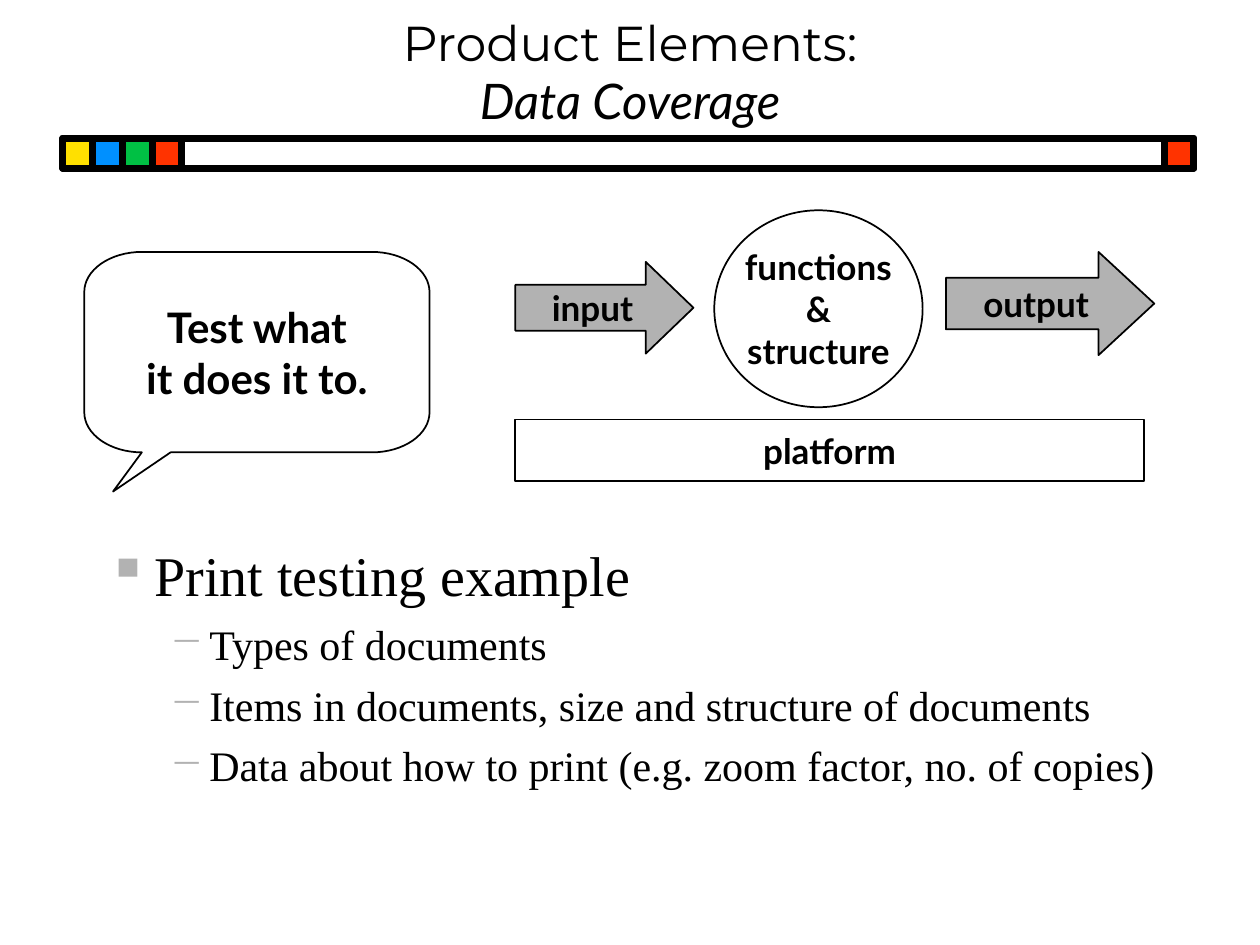
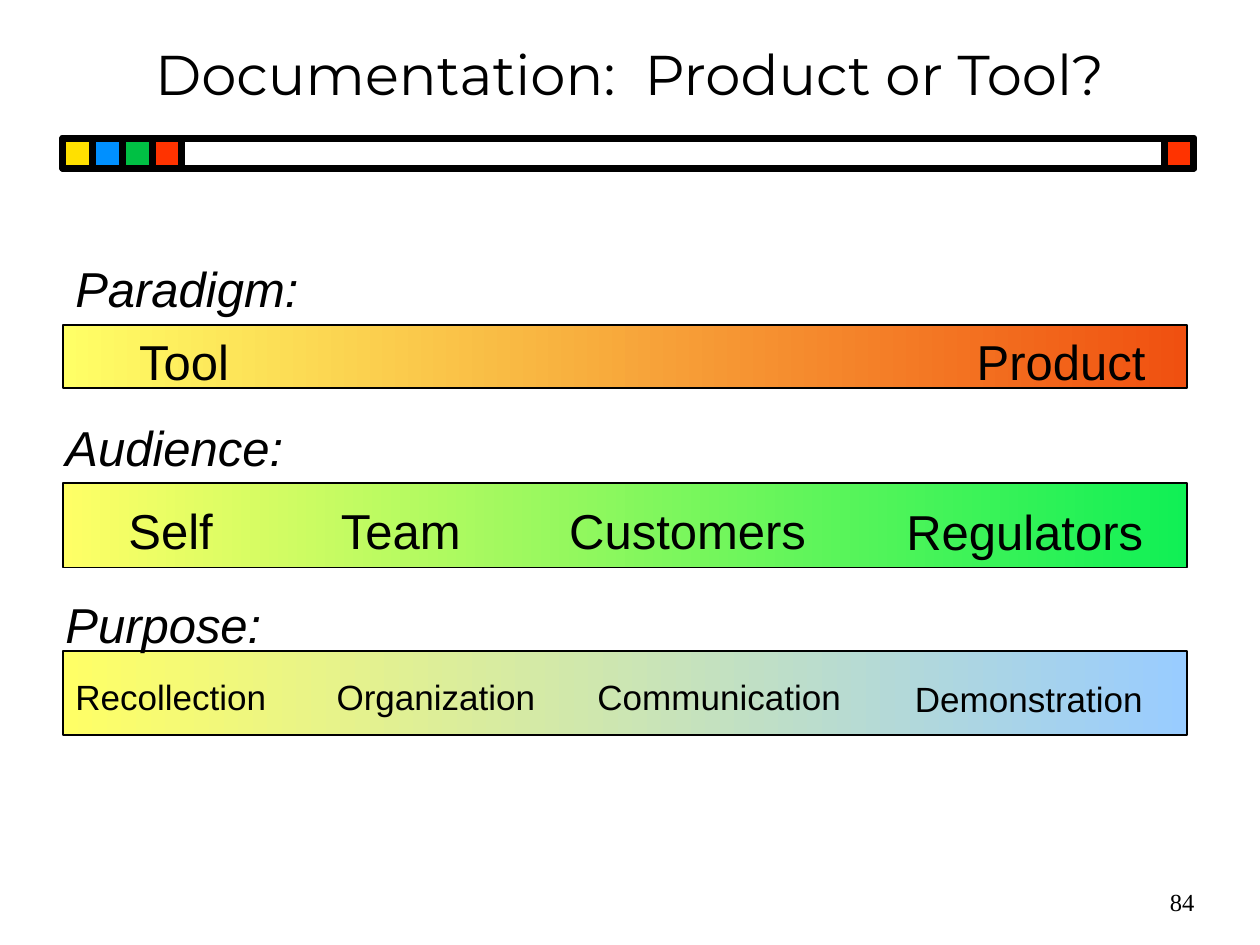
from math import cos, pi, sin

from lxml import etree
from pptx import Presentation
from pptx import util as u
from pptx.dml.color import RGBColor
from pptx.enum import shapes, text
from pptx.oxml.ns import qn

COLOURS = {
    "black": "000000", "white": "FFFFFF", "grey": "B2B2B2",
    "yellow": "FFE000", "blue": "0090FF", "green": "00C044", "red": "FF3300",
    "pale yellow": "FFFF66", "orange": "F05010", "lime": "10F055", "sky": "99CCFF",
}
KINDS = shapes.MSO_SHAPE
LEFT, CENTRE, RIGHT = text.PP_ALIGN.LEFT, text.PP_ALIGN.CENTER, text.PP_ALIGN.RIGHT
TOP, MIDDLE, BOTTOM = text.MSO_ANCHOR.TOP, text.MSO_ANCHOR.MIDDLE, text.MSO_ANCHOR.BOTTOM
TITLE_FONT, DIAGRAM_FONT, SCALE_FONT, BODY_FONT = "Montserrat", "Lato", "Arial", "Times New Roman"
MARGIN = 1.27
SCALE_WIDTH = 22.66


def colour(name):
    return RGBColor.from_string(COLOURS[name])


class Deck:
    """Holds the style and the slide being drawn; all lengths are in cm."""

    def __init__(self):
        self.prs = Presentation()
        self.prs.slide_width, self.prs.slide_height = u.Cm(25.4), u.Cm(19.05)
        self.slide = None

    def new_slide(self):
        self.slide = self.prs.slides.add_slide(self.prs.slide_layouts[6])
        self.title_band()

    def title_band(self):
        top, width, side = 2.79, 22.8, 0.6
        self.shape(KINDS.RECTANGLE, MARGIN, top, width, side, None, 4)
        for i, name in enumerate(("yellow", "blue", "green", "red")):
            self.shape(KINDS.RECTANGLE, MARGIN + i * side, top, side, side, name, 4)
        self.shape(KINDS.RECTANGLE, MARGIN + width - side, top, side, side, "red", 4)

    def finish(self, shape, fill, line=1):
        shape.shadow.inherit = False
        if fill:
            shape.fill.solid()
            shape.fill.fore_color.rgb = colour(fill)
        else:
            shape.fill.background()
        shape.line.color.rgb = colour("black")
        shape.line.width = u.Pt(line)
        return shape

    def shape(self, kind, left, top, width, height, fill, line=1):
        box = map(u.Cm, (left, top, width, height))
        return self.finish(self.slide.shapes.add_shape(kind, *box), fill, line)

    def run(self, paragraph, words, size, font, bold=False, italic=False):
        run = paragraph.add_run()
        run.text = words
        run.font.size, run.font.name = u.Pt(size), font
        run.font.bold, run.font.italic = bold, italic
        run.font.color.rgb = colour("black")

    def caption(self, shape, lines, size=20):
        """Bold centred lines inside a diagram shape."""
        frame = shape.text_frame
        frame.word_wrap, frame.vertical_anchor = False, MIDDLE
        for i, line in enumerate(lines):
            paragraph = frame.add_paragraph() if i else frame.paragraphs[0]
            paragraph.alignment = CENTRE
            self.run(paragraph, line, size, DIAGRAM_FONT, bold=True)

    def text_box(self, left, top, width, height, align=LEFT, anchor=TOP):
        box = self.slide.shapes.add_textbox(*map(u.Cm, (left, top, width, height)))
        frame = box.text_frame
        frame.word_wrap, frame.vertical_anchor = True, anchor
        frame.paragraphs[0].alignment = align
        return frame

    def label(self, words, left, top, width, height, size, font=SCALE_FONT,
              align=LEFT, anchor=TOP, italic=False):
        frame = self.text_box(left, top, width, height, align, anchor)
        self.run(frame.paragraphs[0], words, size, font, italic=italic)

    def title(self, words, size, subtitle=None):
        frame = self.text_box(0, 0.2, 25.4, 2.54, CENTRE, BOTTOM if subtitle else MIDDLE)
        paragraph = frame.paragraphs[0]
        self.run(paragraph, words, size, TITLE_FONT)
        if subtitle:
            paragraph.add_line_break()
            self.run(paragraph, subtitle, size, DIAGRAM_FONT, italic=True)

    def arrow(self, words, left, top, width, height, head):
        arrow = self.shape(KINDS.RIGHT_ARROW, left, top, width, height, "grey")
        arrow.adjustments[0], arrow.adjustments[1] = 0.5, head
        self.caption(arrow, [words])

    def speech_bubble(self, lines, left, top, width, height, tail):
        """Rounded outline with elliptical corners and a tail at lower left."""
        rx, ry, steps = width / 6, height / 5, 16
        right, bottom = left + width, top + height
        corners = [(right - rx, top + ry, -pi / 2), (right - rx, bottom - ry, 0),
                   (left + rx, bottom - ry, pi / 2), (left + rx, top + ry, pi)]
        outline = []
        for i, (cx, cy, start) in enumerate(corners):
            if i == 2:
                outline += [(left + width / 4, bottom), (left + width / 12, bottom + tail)]
            angles = [start + pi / 2 * k / steps for k in range(steps + 1)]
            outline += [(cx + rx * cos(a), cy + ry * sin(a)) for a in angles]
        points = [(u.Cm(x), u.Cm(y)) for x, y in outline]
        builder = self.slide.shapes.build_freeform(*points[0])
        builder.add_line_segments(points[1:], close=True)
        bubble = self.finish(builder.convert_to_shape(), "white")
        bubble.text_frame.margin_bottom = u.Cm(tail + 0.13)
        self.caption(bubble, lines, 24)

    def bullet(self, paragraph, mark, margin, hang):
        props = paragraph._p.get_or_add_pPr()
        props.set("marL", str(u.Cm(margin)))
        props.set("indent", str(-u.Cm(hang)))
        tint = etree.SubElement(props, qn("a:buClr"))
        etree.SubElement(tint, qn("a:srgbClr"), val=COLOURS["grey"])
        etree.SubElement(props, qn("a:buChar"), char=mark)

    def outline(self, heading, points, left, top, width, height):
        frame = self.text_box(left, top, width, height)
        paragraph = frame.paragraphs[0]
        self.bullet(paragraph, "▪", 0.95, 0.95)
        self.run(paragraph, heading, 32, BODY_FONT)
        for point in points:
            paragraph = frame.add_paragraph()
            paragraph.space_before = u.Pt(6)
            self.bullet(paragraph, "−", 2.06, 0.79)
            self.run(paragraph, point, 24, BODY_FONT)

    def scale(self, top, height, end_colour):
        bar = self.shape(KINDS.RECTANGLE, MARGIN, top, SCALE_WIDTH, height, "white")
        bar.fill.gradient()
        bar.fill.gradient_angle = 0
        for stop, position, name in zip(bar.fill.gradient_stops, (0, 1),
                                        ("pale yellow", end_colour)):
            stop.position = position
            stop.color.rgb = colour(name)


def data_coverage(deck):
    deck.new_slide()
    deck.title("Product Elements:", 28, "Data Coverage")

    # Diagram: input, product and output on a platform
    product = deck.shape(KINDS.OVAL, 14.4, 4.24, 4.2, 3.97, "white")
    deck.caption(product, ["functions", "&", "structure"])
    deck.arrow("input", 10.39, 5.28, 3.59, 1.85, 0.52)
    deck.arrow("output", 19.07, 5.08, 4.2, 2.08, 0.54)
    platform = deck.shape(KINDS.RECTANGLE, 10.39, 8.46, 12.67, 1.24, "white")
    deck.caption(platform, ["platform"])
    deck.speech_bubble(["Test what", "it does it to."], 1.7, 5.08, 6.96, 4.04, 0.79)

    # Example
    deck.outline("Print testing example", [
        "Types of documents",
        "Items in documents, size and structure of documents",
        "Data about how to print (e.g. zoom factor, no. of copies)",
    ], 1.91, 10.77, 22.23, 5.92)


def product_or_tool(deck):
    deck.new_slide()
    deck.title("Documentation:  Product or Tool?", 32)

    # Each scale: heading with its left and top, bar top and height, end colour,
    # label size, and labels with left, drop below the bar top, width, alignment
    scales = [
        ("Paradigm:", 1.27, 5.08, 6.55, 1.27, "orange", 28, [
            ("Tool", 1.27, 0, 4.88, CENTRE),
            ("Product", 18.85, 0, 5.08, CENTRE)]),
        ("Audience:", 1.07, 8.3, 9.74, 1.7, "lime", 28, [
            ("Self", 2.34, 0.22, 3.38, LEFT),
            ("Team", 6.28, 0.22, 3.6, CENTRE),
            ("Customers", 11, 0.22, 5.72, CENTRE),
            ("Regulators", 16.94, 0.25, 6.35, RIGHT)]),
        ("Purpose:", 1.07, 11.86, 13.12, 1.7, "sky", 20, [
            ("Recollection", 1.27, 0.38, 4.45, LEFT),
            ("Organization", 6.35, 0.38, 4.88, CENTRE),
            ("Communication", 11.64, 0.38, 5.72, CENTRE),
            ("Demonstration", 16.94, 0.42, 6.35, RIGHT)]),
    ]
    for heading, left, heading_top, top, height, end_colour, size, labels in scales:
        deck.scale(top, height, end_colour)
        deck.label(heading, left, heading_top, 7, 1.45, 28, italic=True)
        for words, label_left, drop, width, align in labels:
            deck.label(words, label_left, top + drop, width, size * 0.05, size, align=align)

    # Slide number
    deck.label("84", 19.05, 17.55, 5.28, 1.27, 14, BODY_FONT, RIGHT, MIDDLE)


def main():
    deck = Deck()
    data_coverage(deck)
    product_or_tool(deck)
    deck.prs.save("out.pptx")


if __name__ == "__main__":
    main()
